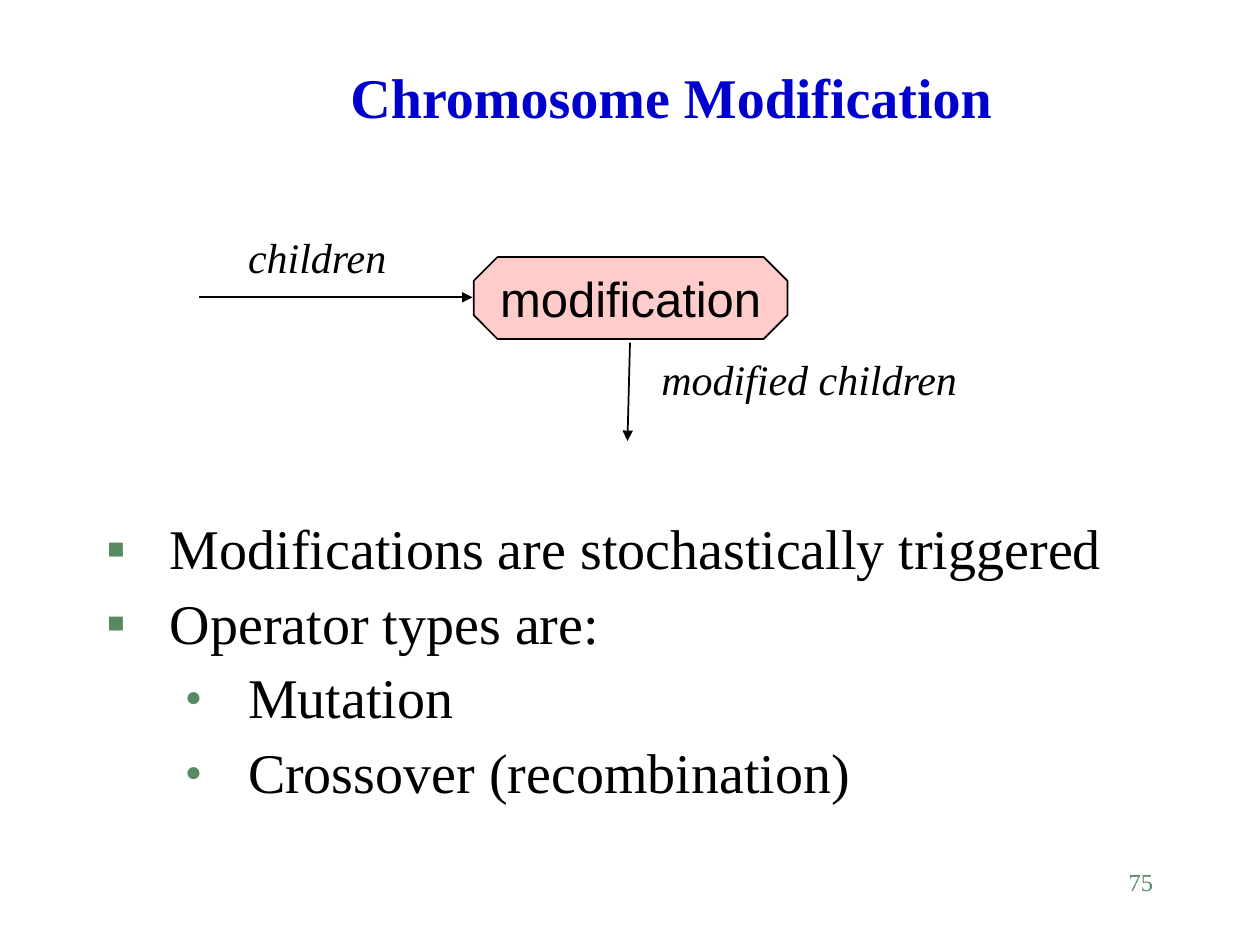
from lxml import etree
from pptx import Presentation
from pptx.dml.color import RGBColor
from pptx.enum.shapes import MSO_CONNECTOR, MSO_SHAPE
from pptx.enum.text import MSO_ANCHOR, MSO_AUTO_SIZE, PP_ALIGN
from pptx.oxml.ns import qn
from pptx.util import Inches, Pt

STRAIGHT = MSO_CONNECTOR.STRAIGHT
OCTAGON = MSO_SHAPE.OCTAGON
BOTTOM, MIDDLE = MSO_ANCHOR.BOTTOM, MSO_ANCHOR.MIDDLE
LEFT, CENTER, RIGHT = PP_ALIGN.LEFT, PP_ALIGN.CENTER, PP_ALIGN.RIGHT
NO_AUTOFIT = MSO_AUTO_SIZE.NONE
SERIF, SANS = "Times New Roman", "Arial"
COLORS = {"title": "0000CC", "text": "000000", "accent": "578963", "box": "FFCCCC"}
BULLET_STYLES = [
    {"char": "▪", "size": 100, "margin": 0.5},
    {"char": "●", "size": 50, "margin": 1.12},
]
POINTS = [
    ("Modifications are stochastically triggered", 0),
    ("Operator types are:", 0),
    ("Mutation", 1),
    ("Crossover (recombination)", 1),
]


def color(name):
    return RGBColor.from_string(COLORS[name])


def style_font(paragraph, size, color_name="text", name=SERIF, **styles):
    for key, value in {"size": Pt(size), "name": name, **styles}.items():
        setattr(paragraph.font, key, value)
    paragraph.font.color.rgb = color(color_name)


def add_text_box(slide, left, top, width, height, wrap=True):
    frame = slide.shapes.add_textbox(*map(Inches, (left, top, width, height))).text_frame
    frame.word_wrap = wrap
    return frame


def add_label(slide, text, left, top, width, size=24, align=LEFT, wrap=False, **styles):
    label = add_text_box(slide, left, top, width, 0.5, wrap).paragraphs[0]
    label.text = text
    label.alignment = align
    style_font(label, size, **styles)


def set_title(slide, text):
    title = slide.shapes.title
    place = {"left": 1.08, "top": 0, "width": 8.5, "height": 1.08}
    for key, value in place.items():
        setattr(title, key, Inches(value))
    frame = title.text_frame
    frame.text = text
    frame.auto_size = NO_AUTOFIT
    frame.vertical_anchor = BOTTOM
    frame.paragraphs[0].alignment = CENTER
    style_font(frame.paragraphs[0], 32, "title", bold=True)


def add_process(slide, text, left, top, width, height):
    process = slide.shapes.add_shape(OCTAGON, *map(Inches, (left, top, width, height)))
    process.adjustments[0] = 0.29
    process.shadow.inherit = False
    process.fill.solid()
    process.fill.fore_color.rgb = color("box")
    process.line.color.rgb = color("text")
    process.line.width = Pt(1)
    frame = process.text_frame
    frame.text = text
    frame.word_wrap = False
    frame.vertical_anchor = MIDDLE
    frame.paragraphs[0].alignment = CENTER
    style_font(frame.paragraphs[0], 28, name=SANS)


def add_arrow(slide, start, end):
    arrow = slide.shapes.add_connector(STRAIGHT, *map(Inches, (*start, *end)))
    arrow.line.color.rgb = color("text")
    arrow.line.width = Pt(1)
    etree.SubElement(arrow.line._get_or_add_ln(), qn("a:tailEnd"), type="triangle")
    etree.SubElement(arrow._element.spPr, qn("a:effectLst"))


def add_bullet(paragraph, char, size, margin):
    properties = paragraph._p.get_or_add_pPr()
    properties.set("marL", str(Inches(margin)))
    properties.set("indent", str(Inches(-0.5)))
    bullet_color = etree.SubElement(properties, qn("a:buClr"))
    etree.SubElement(bullet_color, qn("a:srgbClr"), val=COLORS["accent"])
    etree.SubElement(properties, qn("a:buSzPct"), val=str(size * 1000))
    etree.SubElement(properties, qn("a:buFont"), typeface=SERIF)
    etree.SubElement(properties, qn("a:buChar"), char=char)


def add_points(slide, points):
    frame = add_text_box(slide, 0.75, 4.09, 8.58, 2.49)
    for index, (text, level) in enumerate(points):
        point = frame.add_paragraph() if index else frame.paragraphs[0]
        point.text = text
        point.level = level
        add_bullet(point, **BULLET_STYLES[level])
        point.line_spacing = 0.9
        point.space_before = Pt(8 if index else 0)
        style_font(point, 32)


def main():
    presentation = Presentation()
    presentation.slide_width = Inches(10)
    presentation.slide_height = Inches(7.5)
    slide = presentation.slides.add_slide(presentation.slide_layouts[5])
    set_title(slide, "Chromosome Modification")
    add_process(slide, "modification", 3.76, 2.04, 2.49, 0.65)
    add_arrow(slide, (1.58, 2.36), (3.75, 2.36))
    add_arrow(slide, (5, 2.72), (4.98, 3.5))
    add_label(slide, "children", 1.87, 1.79, 1.31, italic=True)
    add_label(slide, "modified children", 5.15, 2.76, 2.56, italic=True)
    add_points(slide, POINTS)
    add_label(slide, "75", 7.17, 6.83, 2.08, size=14, align=RIGHT, wrap=True, color_name="accent")
    presentation.save("out.pptx")


if __name__ == "__main__":
    main()
